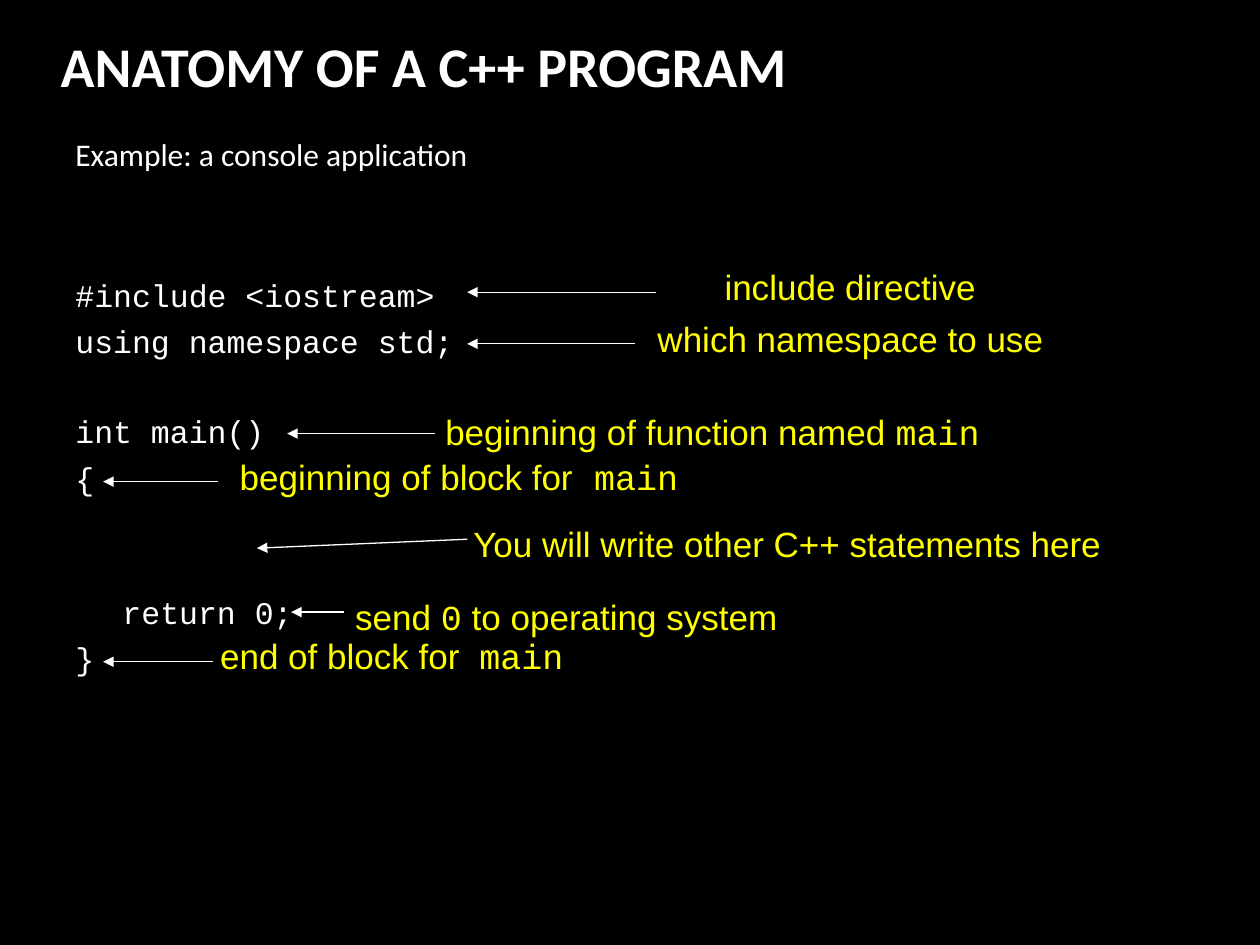
from lxml.etree import SubElement
from pptx import Presentation
from pptx.dml.color import RGBColor
from pptx.enum.shapes import MSO_CONNECTOR
from pptx.enum.text import MSO_ANCHOR, MSO_AUTO_SIZE, PP_ALIGN
from pptx.oxml.ns import qn
from pptx.util import Cm, Pt

INK = {"back": "000000", "text": "FFFFFF", "note": "FFFF00"}
FONTS = {
    "title": {"name": "Calibri", "size": Pt(32), "bold": True},
    "lead": {"name": "Calibri", "size": Pt(18)},
    "code": {"name": "Courier New", "size": Pt(18)},
    "note": {"name": "Arial", "size": Pt(20)},
    "term": {"name": "Courier New", "size": Pt(20)},
}
STEP, GAP = 25.2, 4.8
CODE = [
    ("#include <iostream>", 0, 0),
    ("using namespace std;", 0, 0),
    ("int main()", 1, 0),
    ("{", 0, 0),
    ("return 0;", 2, 0.95),
    ("}", 0, 0),
]
NOTES = [
    ((13.23, 5.46, 7.82, 0.86), 0.7, ["include directive"],
     None, (-3.81, 0.43)),
    ((12.8, 6.5, 8.69, 0.86), 0.7, ["which namespace to use"],
     None, (-3.38, 0.43)),
    ((8.33, 8.31, 12.07, 0.99), 0.8, ["beginning of function named ", "main"],
     (0.43, 0.43), (-2.54, 0.43)),
    ((4.39, 9.22, 9.73, 0.98), 0.8, ["beginning of block for", " main"],
     None, (-2.31, 0.49)),
    ((3.99, 12.9, 7.82, 0.91), 0.7, ["end of block for  ", "main"],
     (0.3, 0.44), (-1.91, 0.44)),
    ((6.1, 12.12, 10.64, 0.91), 0.7, ["send ", "0", " to operating system"],
     (0.83, 0.22), (-0.23, 0.22)),
    ((8.99, 10.64, 13.77, 0.86), 0.7,
     ["You will write other C++ statements here"],
     (0.43, 0.23), (-3.81, 0.41)),
]


def tint(name):
    """Return the named colour."""
    return RGBColor.from_string(INK[name])


def put(thing, values):
    """Set each attribute in a dict of values."""
    for key, value in values.items():
        setattr(thing, key, value)


def write(para, text, style, ink):
    """Add a run of styled text to a paragraph."""
    run = para.add_run()
    run.text = text
    put(run.font, FONTS[style])
    run.font.color.rgb = tint(ink)


def add_box(slide, box, wrap=True):
    """Add a text box that keeps its size."""
    shape = slide.shapes.add_textbox(*map(Cm, box))
    put(shape.text_frame, {"word_wrap": wrap, "auto_size": MSO_AUTO_SIZE.NONE})
    return shape


def add_title(slide, box, text):
    """Move the title placeholder to its box and fill it."""
    title = slide.shapes.title
    put(title, dict(zip(("left", "top", "width", "height"), map(Cm, box))))
    frame = title.text_frame
    put(frame, {"word_wrap": False, "auto_size": MSO_AUTO_SIZE.NONE,
                "vertical_anchor": MSO_ANCHOR.TOP})
    para = frame.paragraphs[0]
    para.alignment = PP_ALIGN.LEFT
    write(para, text, "title", "text")


def add_lead(slide, box, text):
    """Add the line that introduces the example."""
    frame = add_box(slide, box, False).text_frame
    write(frame.paragraphs[0], text, "lead", "text")


def add_code(slide, box):
    """Add the program, with space for the rows it skips."""
    frame = add_box(slide, box).text_frame
    frame.margin_right = 0
    for row, (text, skip, inset) in enumerate(CODE):
        para = frame.add_paragraph() if row else frame.paragraphs[0]
        para.space_before = Pt(GAP + skip * STEP if row else 0)
        para._p.get_or_add_pPr().set("marL", str(Cm(inset)))
        write(para, text, "code", "text")


def add_note(slide, box, pitch, parts, start, tip):
    """Add a label and the arrow from it to its code."""
    shape = add_box(slide, box)
    para = shape.text_frame.paragraphs[0]
    put(para, {"alignment": PP_ALIGN.CENTER, "line_spacing": pitch})
    for spot, text in enumerate(parts):
        write(para, text, "term" if spot % 2 else "note", "note")

    left, top, _, high = box
    ends = [Cm(base + move) for point in (start or (0, high / 2), tip)
            for base, move in zip((left, top), point)]
    arrow = slide.shapes.add_connector(MSO_CONNECTOR.STRAIGHT, *ends)
    if start is None:
        arrow.begin_connect(shape, 1)
    arrow.line.width = Pt(0.75)
    arrow.line.color.rgb = tint("text")
    props = arrow._element.spPr
    SubElement(props.find(qn("a:ln")), qn("a:tailEnd"), type="triangle")
    SubElement(props, qn("a:effectLst"))


def main():
    """Build and save the slide."""
    deck = Presentation()
    put(deck, {"slide_width": Cm(25.4), "slide_height": Cm(19.05)})
    slide = deck.slides.add_slide(deck.slide_layouts[5])
    fill = slide.background.fill
    fill.solid()
    fill.fore_color.rgb = tint("back")
    add_title(slide, (0.97, 0.51, 15.39, 1.63), "ANATOMY OF A C++ PROGRAM")
    add_code(slide, (1.27, 5.44, 22.86, 11.58))
    for note in NOTES:
        add_note(slide, *note)
    add_lead(slide, (1.27, 2.59, 8.53, 1.02), "Example: a console application")
    deck.save("out.pptx")


if __name__ == "__main__":
    main()
